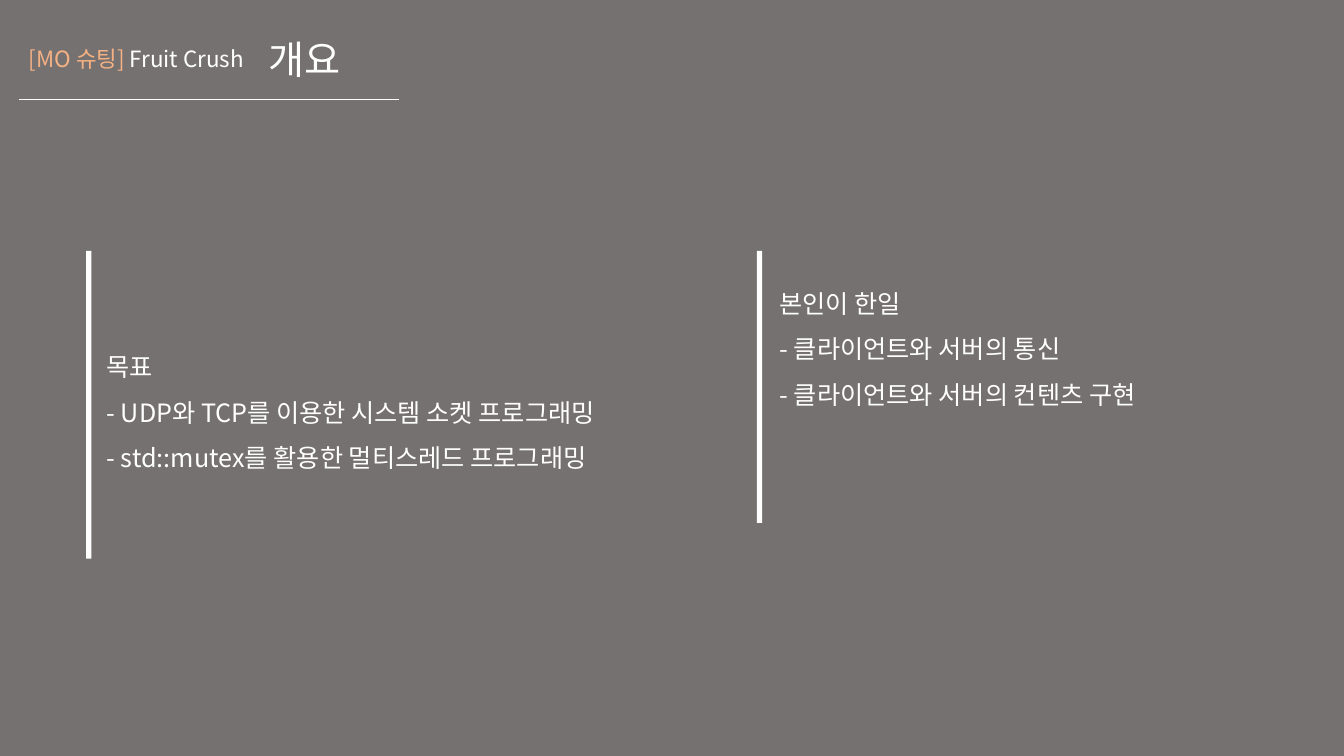
import pptx
import pptx.util
import pptx.dml.color
import pptx.enum.shapes
import pptx.enum.text
import pptx.oxml.ns
from lxml import etree

PX = 9525
FONT = "Noto Sans CJK KR"
WHITE = "FFFFFF"
ORANGE = "F4B183"


def px(*lengths):
    return [pptx.util.Emu(n * PX) for n in lengths]


def rgb(color):
    return pptx.dml.color.RGBColor.from_string(color)


def format_run(r, size, color):
    r.font.name = FONT
    r.font.size = pptx.util.Pt(size)
    r.font.color.rgb = rgb(color)
    ea = etree.SubElement(r._r.get_or_add_rPr(), pptx.oxml.ns.qn("a:ea"))
    ea.set("typeface", FONT)


def add_text(shapes, box, paragraphs, size, spacing=1.0, middle=True):
    """Add a text box; each paragraph is a list of (text, color) runs."""
    tf = shapes.add_textbox(*px(*box)).text_frame
    tf.word_wrap = True
    if middle:
        tf.vertical_anchor = pptx.enum.text.MSO_ANCHOR.MIDDLE
    for i, runs in enumerate(paragraphs):
        p = tf.add_paragraph() if i else tf.paragraphs[0]
        p.line_spacing = spacing
        for text, color in runs:
            r = p.add_run()
            r.text = text
            format_run(r, size, color)
    return tf


def add_panel(s, bar_left, text_left, width, height, lines, bottom_inset):
    """Add a group of a white vertical bar and the text beside it."""
    top = 239
    shapes = s.shapes.add_group_shape().shapes
    paragraphs = [[(line, WHITE)] for line in lines]
    tf = add_text(shapes, (text_left, top, width, height), paragraphs, 18, 1.5)
    tf.margin_bottom = px(bottom_inset)[0]
    bar = shapes.add_shape(pptx.enum.shapes.MSO_SHAPE.RECTANGLE,
                           *px(bar_left, top, 5, height))
    bar.shadow.inherit = False
    bar.fill.solid()
    bar.fill.fore_color.rgb = rgb(WHITE)
    bar.line.fill.background()


def add_rule(s, x1, y1, x2, y2):
    line = s.shapes.add_connector(pptx.enum.shapes.MSO_CONNECTOR.STRAIGHT,
                                  *px(x1, y1, x2, y2))
    line.line.color.rgb = rgb(WHITE)
    line.line.width = pptx.util.Pt(0.5)
    etree.SubElement(line._element.spPr, pptx.oxml.ns.qn("a:effectLst"))


def main():
    prs = pptx.Presentation()
    prs.slide_width, prs.slide_height = px(1280, 720)
    s = prs.slides.add_slide(prs.slide_layouts[6])
    s.background.fill.solid()
    s.background.fill.fore_color.rgb = rgb("767171")

    add_panel(s, 82, 92, 620, 293, [
        "목표",
        "- UDP와 TCP를 이용한 시스템 소켓 프로그래밍",
        "- std::mutex를 활용한 멀티스레드 프로그래밍",
    ], 5)
    add_text(s.shapes, (18, 38, 286, 36),
             [[("[MO 슈팅] ", ORANGE), ("Fruit Crush", WHITE)]], 16, middle=False)
    add_text(s.shapes, (246, 16, 96, 85), [[("개요", WHITE)]], 28, 0.9)
    add_rule(s, 380, 95, 18, 95)
    add_panel(s, 721, 733, 476, 259, [
        "본인이 한일",
        "- 클라이언트와 서버의 통신",
        "- 클라이언트와 서버의 컨텐츠 구현",
    ], 92)
    prs.save("out.pptx")


if __name__ == "__main__":
    main()
